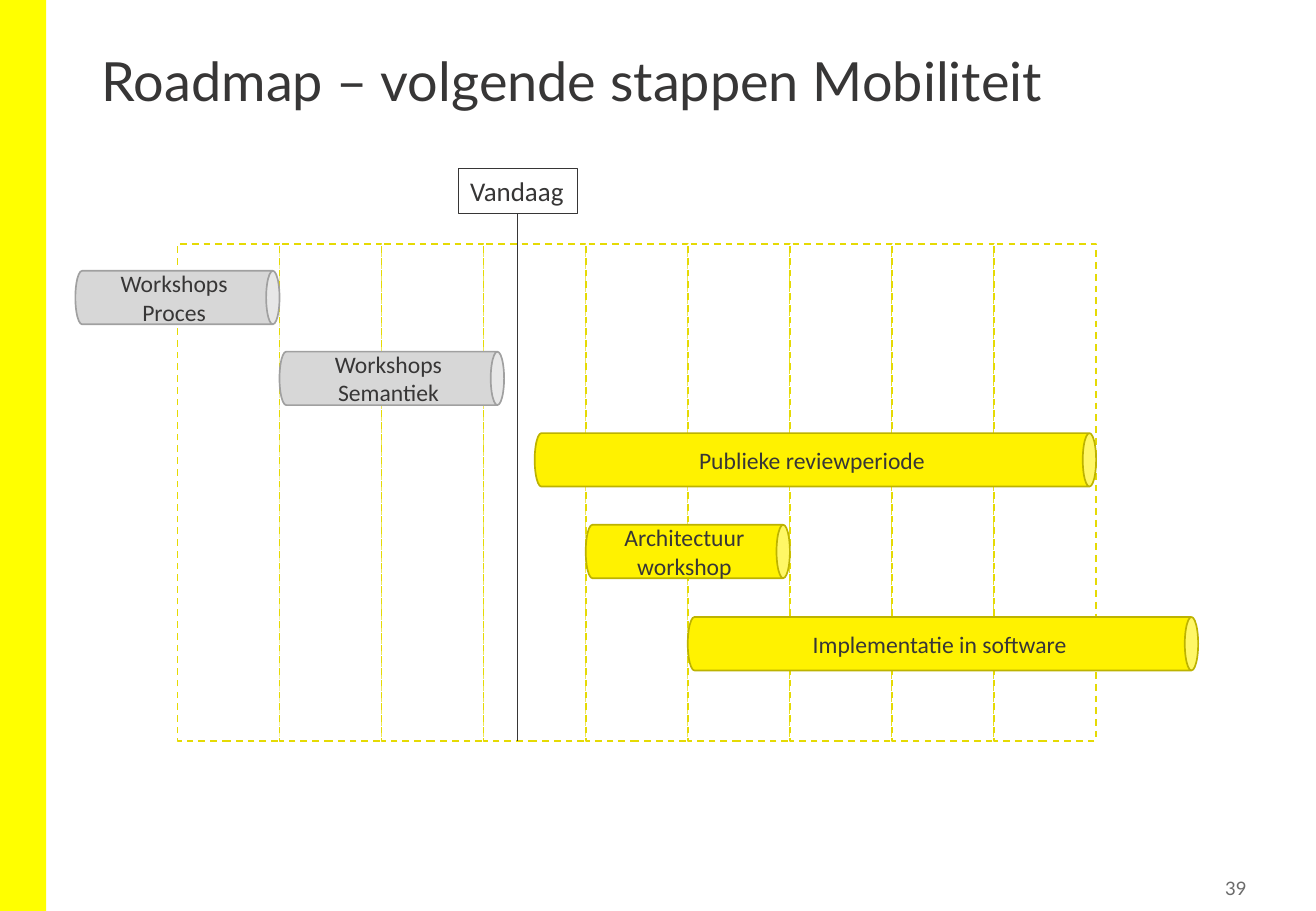
from pptx import Presentation
from pptx.dml.color import RGBColor
from pptx.enum.dml import MSO_LINE
from pptx.enum.shapes import MSO_CONNECTOR, MSO_SHAPE
from pptx.enum.text import MSO_ANCHOR, PP_ALIGN
from pptx.oxml.ns import qn
from pptx.util import Pt
from lxml import etree

RECT, CAN = MSO_SHAPE.RECTANGLE, MSO_SHAPE.CAN
LINE, DASH = MSO_CONNECTOR.STRAIGHT, MSO_LINE.DASH
TOP, MIDDLE = MSO_ANCHOR.TOP, MSO_ANCHOR.MIDDLE
LEFT, CENTER, RIGHT = PP_ALIGN.LEFT, PP_ALIGN.CENTER, PP_ALIGN.RIGHT

HUES = {
    "band": "FFFF00", "ink": "373636", "page": "6B6B6B",
    "cell": "FFFFFF", "grid": "E5DA04",
    "done": "D7D7D7", "done_edge": "A0A0A0",
    "plan": "FFF200", "plan_edge": "BDB300",
}
TITLE = "Roadmap – volgende stappen Mobiliteit"
TODAY = "Vandaag"
PAGE = "39"
# text, state, first column, columns, middle height
TASKS = [
    ("Workshops\nProces", "done", -1, 2, 176.4),
    ("Workshops\nSemantiek", "done", 1, 2.2, 224.3),
    ("Publieke reviewperiode", "plan", 3.5, 5.5, 272.6),
    ("Implementatie in software", "plan", 5, 5, 381.6),
    ("Architectuur workshop", "plan", 4, 2, 326.9),
]
WIDE, HIGH = 779.76, 540
GRID_X, GRID_Y, COL, DEEP, COLS = 105.12, 144.72, 60.48, 294.48, 9
BAR = 31.68
NOW, TAG_Y, TAG_W, TAG_H = 306.72, 100.08, 70.56, 26.64


def hue(name):
    return RGBColor.from_string(HUES[name])


def write(shape, text, size, font, tone="ink", align=LEFT, anchor=TOP, wrap=True):
    frame = shape.text_frame
    frame.text = text
    frame.word_wrap = wrap
    frame.vertical_anchor = anchor
    for para in frame.paragraphs:
        para.alignment = align
        for run in para.runs:
            run.font.size = Pt(size)
            run.font.name = font
            run.font.color.rgb = hue(tone)
    return frame


def draw(slide, kind, box, fill, edge=None):
    shape = slide.shapes.add_shape(kind, *map(Pt, box))
    shape.shadow.inherit = False
    shape.fill.solid()
    shape.fill.fore_color.rgb = hue(fill)
    if edge:
        shape.line.color.rgb = hue(edge)
        shape.line.width = Pt(1)
    else:
        shape.line.fill.background()
    return shape


def add_box(slide, box):
    return slide.shapes.add_textbox(*map(Pt, box))


def add_task(slide, text, state, first, span, mid):
    long = span * COL
    center = GRID_X + first * COL + long / 2
    box = (center - BAR / 2, mid - long / 2, BAR, long)
    can = draw(slide, CAN, box, state, state + "_edge")
    can.rotation = 90
    frame = write(can, text, 14, "Calibri", align=CENTER, anchor=MIDDLE)
    frame._txBody.bodyPr.set("vert", "vert270")


def add_today(slide):
    tag = add_box(slide, (NOW - TAG_W / 2, TAG_Y, TAG_W, TAG_H))
    tag.line.color.rgb = hue("ink")
    tag.line.width = Pt(0.75)
    write(tag, TODAY, 16, "Calibri", wrap=False)
    mark = slide.shapes.add_connector(
        LINE, Pt(NOW), Pt(GRID_Y + DEEP), Pt(NOW), Pt(TAG_Y + TAG_H))
    mark.end_connect(tag, 2)
    mark.line.color.rgb = hue("ink")
    mark.line.width = Pt(0.5)
    etree.SubElement(mark._element.spPr, qn("a:effectLst"))


def main():
    """Build the mobility roadmap slide."""
    deck = Presentation()
    deck.slide_width, deck.slide_height = Pt(WIDE), Pt(HIGH)
    slide = deck.slides.add_slide(deck.slide_layouts[6])
    draw(slide, RECT, (0, 0, 27.36, HIGH), "band")
    title = add_box(slide, (53.28, 28.8, 672.48, 77.76))
    write(title, TITLE, 32, "Lato").paragraphs[0].line_spacing = 0.9
    page = add_box(slide, (684, 516.24, 58.32, 20.88))
    frame = write(page, PAGE, 11, "Lato", "page", RIGHT, MIDDLE)
    frame.margin_left = frame.margin_right = Pt(3.6)
    for col in range(COLS):
        cell = draw(slide, RECT, (GRID_X + col * COL, GRID_Y, COL, DEEP), "cell", "grid")
        cell.line.dash_style = DASH
    for task in TASKS:
        add_task(slide, *task)
    add_today(slide)
    deck.save("out.pptx")


if __name__ == "__main__":
    main()
